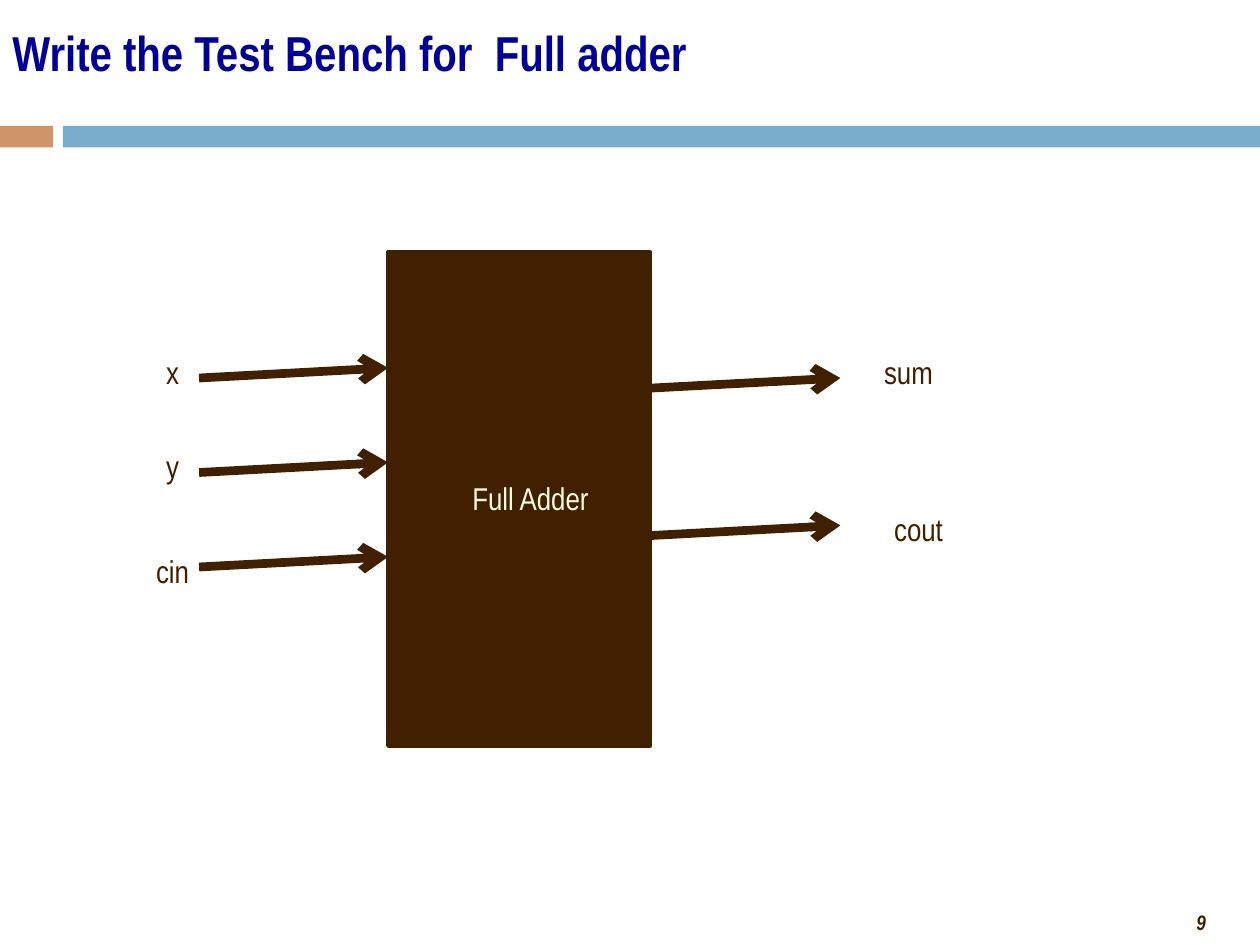
from pptx import Presentation
from pptx.dml.color import RGBColor
from pptx.enum.shapes import MSO_CONNECTOR as Link, MSO_SHAPE as Shape
from pptx.enum.text import MSO_ANCHOR as Anchor, PP_ALIGN as Align
from pptx.oxml.ns import qn
from pptx.util import Inches, Pt
from lxml.etree import SubElement

BROWN = "402000"


def color(code):
    """Turn a hex string into a colour."""
    return RGBColor.from_string(code)


def add_text(slide, text, box, size=18, ink=BROWN, align=Align.CENTER,
             anchor=Anchor.TOP, bold=False, italic=False):
    """Add one line of text in a box."""
    frame = slide.shapes.add_textbox(*map(Inches, box)).text_frame
    frame.word_wrap = True
    frame.vertical_anchor = anchor
    frame.text = text
    line = frame.paragraphs[0]
    line.alignment = align
    font = line.runs[0].font
    font.name, font.size = "Arial Narrow", Pt(size)
    font.bold, font.italic = bold, italic
    font.color.rgb = color(ink)


def add_block(slide, box, fill, width=0):
    """Add a filled rectangle, outlined if a width is given."""
    block = slide.shapes.add_shape(Shape.RECTANGLE, *map(Inches, box))
    block.shadow.inherit = False
    block.fill.solid()
    block.fill.fore_color.rgb = color(fill)
    if width:
        block.line.color.rgb = color(fill)
        block.line.width = Pt(width)
    else:
        block.line.fill.background()


def add_arrow(slide, left, top):
    """Add a slightly rising signal arrow that points right."""
    ends = left, top, left + 1.5, top - 0.08
    arrow = slide.shapes.add_connector(Link.STRAIGHT, *map(Inches, ends))
    arrow.line.color.rgb = color(BROWN)
    arrow.line.width = Pt(5)
    SubElement(arrow.line._get_or_add_ln(), qn("a:tailEnd"), type="arrow")
    SubElement(arrow._element.spPr, qn("a:effectLst"))


def add_port(slide, name, left, top, start, level):
    """Add a named port with its arrow."""
    add_arrow(slide, start, level)
    add_text(slide, name, (left, top, 1.08, 0.4))


def main():
    """Build the full adder slide."""
    deck = Presentation()
    deck.slide_width, deck.slide_height = Inches(10), Inches(7.5)
    slide = deck.slides.add_slide(deck.slide_layouts[6])

    add_text(slide, "9", (7.5, 7.17, 2.17, 0.3), 12, align=Align.RIGHT,
             bold=True, italic=True)
    add_block(slide, (0, 1, 0.42, 0.17), "CF9467")
    add_block(slide, (0.5, 1, 9.5, 0.17), "7AADCC")
    add_text(slide, "Write the Test Bench for  Full adder", (0, 0, 10.25, 0.83),
             28, "000099", Align.LEFT, Anchor.MIDDLE, bold=True)

    add_block(slide, (3.08, 2, 2.08, 3.92), BROWN, 2.25)
    add_text(slide, "Full Adder", (3.42, 3.75, 1.58, 0.4), ink="FBFAE2")
    for row, (name, top) in enumerate([("x", 2.75), ("y", 3.5), ("cin", 4.33)]):
        add_port(slide, name, 0.83, top, 1.58, 3 + 0.75 * row)
    add_port(slide, "sum", 6.67, 2.75, 5.17, 3.08)
    add_port(slide, "cout", 6.75, 4, 5.17, 4.25)
    deck.save("out.pptx")


if __name__ == "__main__":
    main()
